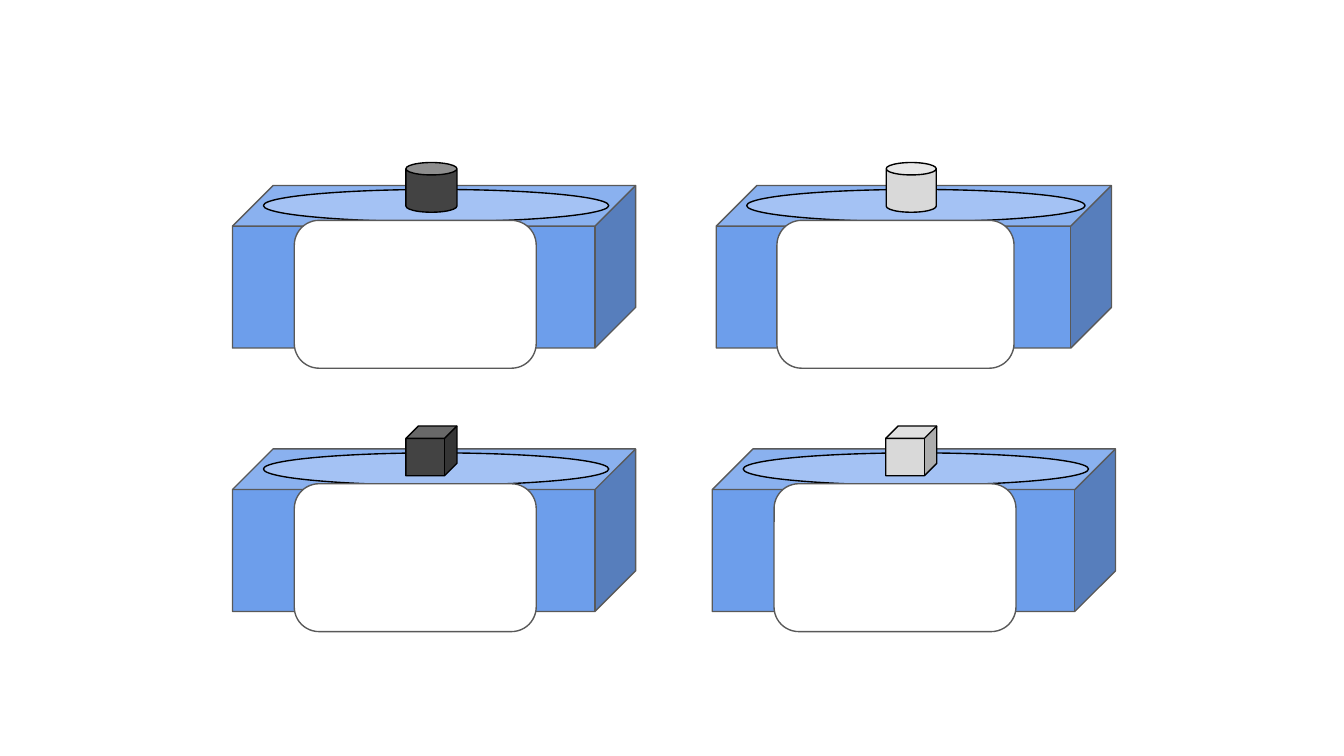
from pptx import Presentation
from pptx.dml.color import RGBColor
from pptx.enum.shapes import MSO_SHAPE as Preset
from pptx.util import Inches, Pt

BLUE = RGBColor(0x6D, 0x9E, 0xEB)
LIGHT_BLUE = RGBColor(0xA4, 0xC2, 0xF4)
WHITE = RGBColor(0xFF, 0xFF, 0xFF)
BLACK = RGBColor(0x00, 0x00, 0x00)
GRAY = RGBColor(0x59, 0x59, 0x59)
DARK = RGBColor(0x43, 0x43, 0x43)
PALE = RGBColor(0xD9, 0xD9, 0xD9)

TOP_ROW, BOTTOM_ROW = 1.38, 3.34
FULL_WIDTH, NARROW_WIDTH = 3, 2.94


def add_solid(group, preset, box, fill, line):
    shape = group.shapes.add_shape(preset, *[Inches(length) for length in box])
    shape.shadow.inherit = False
    shape.fill.solid()
    shape.fill.fore_color.rgb = fill
    shape.line.color.rgb = line
    shape.line.width = Pt(0.75)
    return shape


def add_stand(slide, left, top, width, object_preset, object_color):
    group = slide.shapes.add_group_shape()
    scale = width / FULL_WIDTH

    def place(x, y, part_width, height):
        return left + x * scale, top + y, part_width * scale, height

    add_solid(group, Preset.CUBE, place(0, 0, FULL_WIDTH, 1.21), BLUE, GRAY)
    add_solid(group, Preset.OVAL, place(0.23, 0.03, 2.57, 0.24), LIGHT_BLUE, BLACK)
    add_solid(group, object_preset, place(1.29, -0.17, 0.38, 0.37), object_color, BLACK)
    panel = add_solid(
        group, Preset.ROUNDED_RECTANGLE, place(0.46, 0.26, 1.8, 1.1), WHITE, GRAY
    )
    panel.adjustments[0] = 0.167


def main():
    presentation = Presentation()
    presentation.slide_width = Inches(10)
    presentation.slide_height = Inches(10 * 9 / 16)
    slide = presentation.slides.add_slide(presentation.slide_layouts[6])
    add_stand(slide, 5.33, TOP_ROW, NARROW_WIDTH, Preset.CAN, PALE)
    add_stand(slide, 1.73, TOP_ROW, FULL_WIDTH, Preset.CAN, DARK)
    add_stand(slide, 1.73, BOTTOM_ROW, FULL_WIDTH, Preset.CUBE, DARK)
    add_stand(slide, 5.3, BOTTOM_ROW, FULL_WIDTH, Preset.CUBE, PALE)
    presentation.save("out.pptx")


if __name__ == "__main__":
    main()
